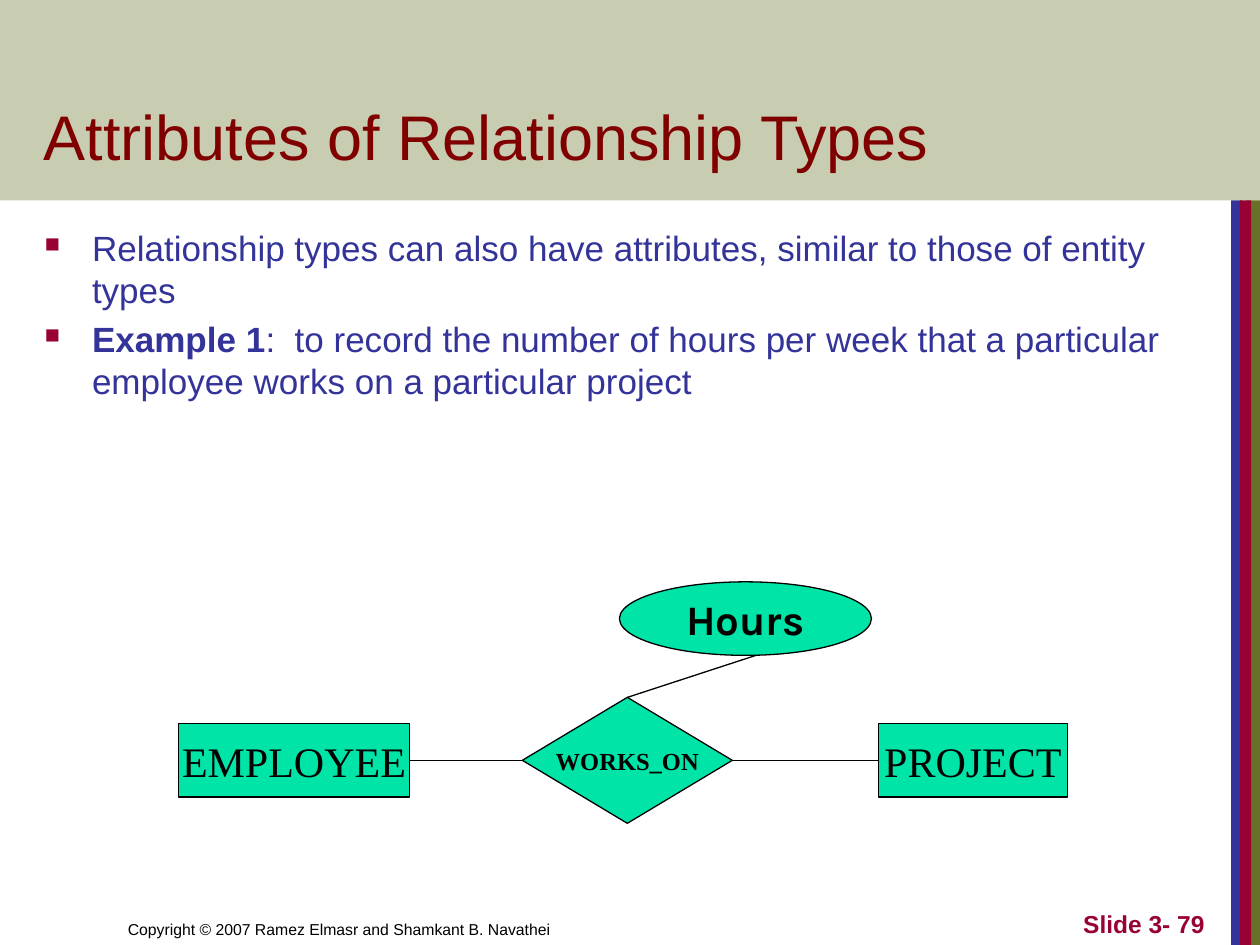
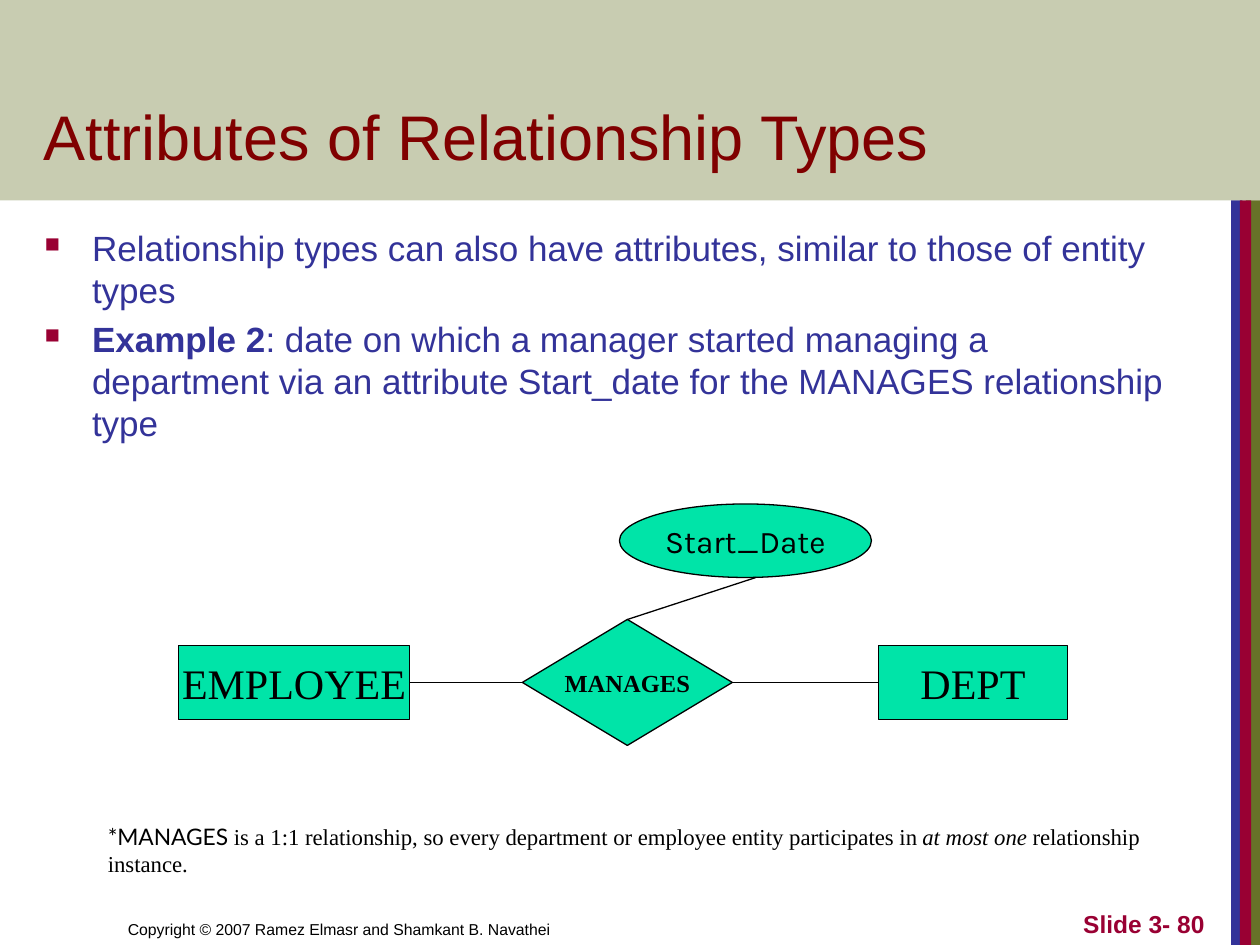
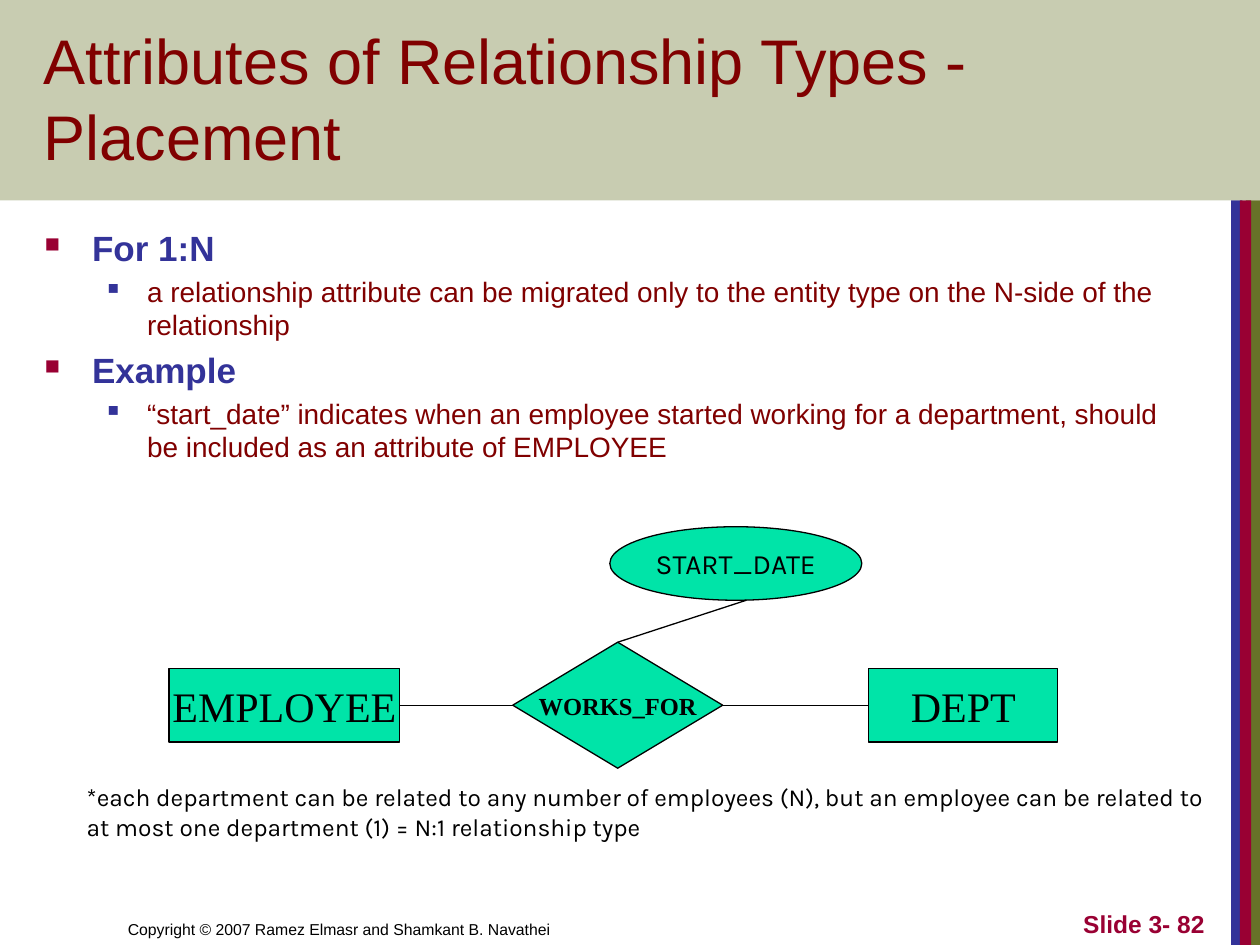
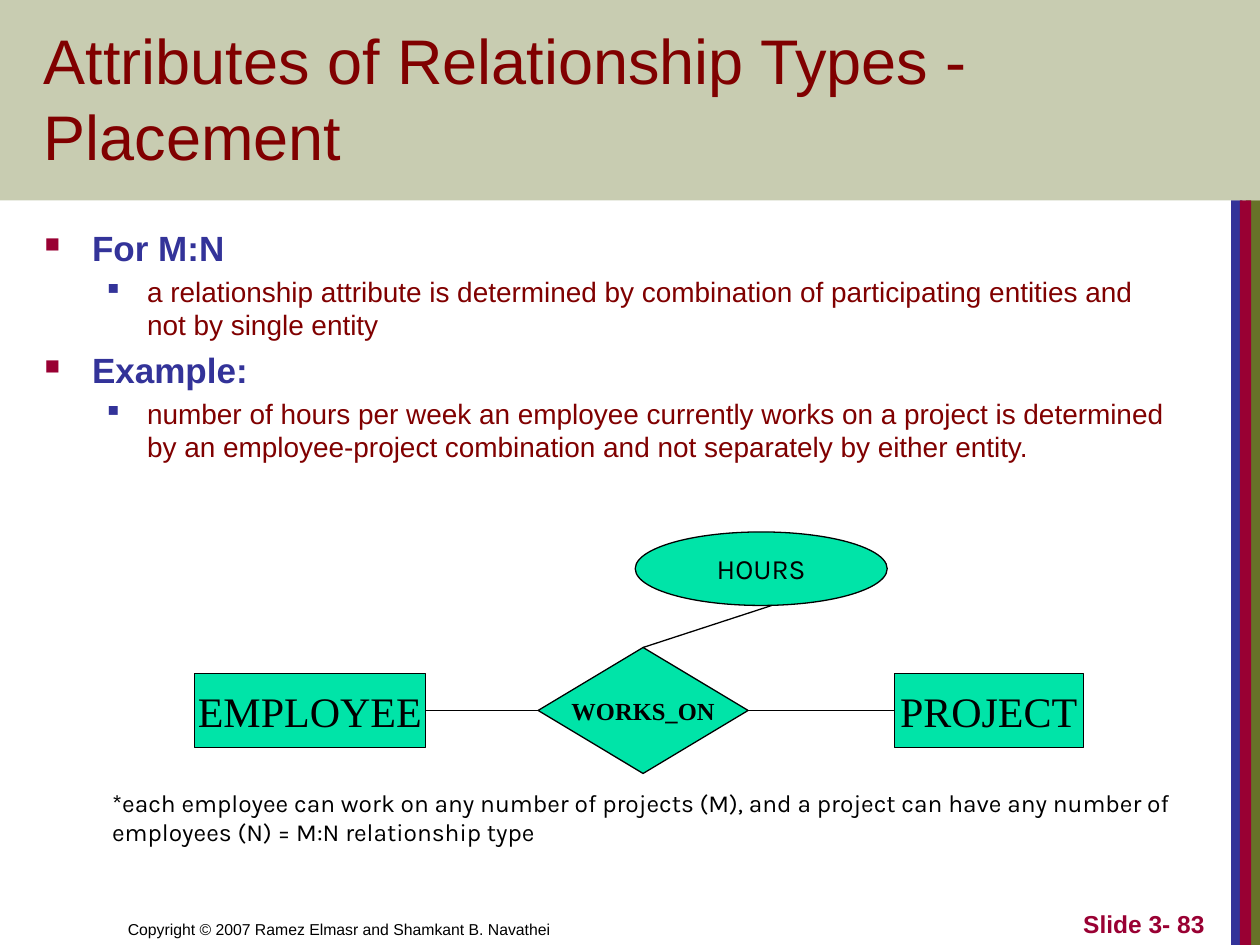
from dataclasses import dataclass
from typing import NamedTuple

from lxml import etree
from pptx import Presentation
from pptx.dml.color import RGBColor
from pptx.enum import shapes as kinds, text as t
from pptx.oxml.ns import qn
from pptx.util import Pt

NAVY = RGBColor(0x33, 0x33, 0x99)
CRIMSON = RGBColor(0x99, 0x00, 0x33)
OLIVE = RGBColor(0x67, 0x72, 0x28)
MAROON = RGBColor(0x80, 0x00, 0x00)
MINT = RGBColor(0x00, 0xE4, 0xA8)
BLACK = RGBColor(0x00, 0x00, 0x00)

SANS, SERIF, KARLA, LATO = "Arial", "Times New Roman", "Karla", "Lato"
SLIDE_W, SLIDE_H, BAND_H = 720, 540, 114.5
COPYRIGHT = "Copyright © 2007 Ramez Elmasr and Shamkant B. Navathei"


class Box(NamedTuple):
    left: float
    top: float
    width: float
    height: float

    def lengths(self) -> list[Pt]:
        return [Pt(value) for value in self]


class Style(NamedTuple):
    font: str
    size: float
    color: RGBColor = BLACK
    bold: bool = False
    italic: bool = False


class Span(NamedTuple):
    words: str
    style: Style


class Level(NamedTuple):
    indent: float
    hanging: float
    bullet_color: RGBColor
    bullet_percent: int
    space_before: float


class Bullet(NamedTuple):
    level: Level
    spans: list[Span]


class Stripe(NamedTuple):
    left: float
    width: float
    color: RGBColor


@dataclass
class Diagram:
    """An entity, relationship, entity row with one attribute above it."""
    left: float
    top: float
    relationship: str
    entity: str
    attribute: str
    attribute_style: Style


@dataclass
class Note:
    box: Box
    spans: list[Span]
    indent: float = 0


@dataclass
class Page:
    number: int
    title: str
    bullets: list[Bullet]
    diagram: Diagram
    note: Note | None = None


TITLE = Style(SANS, 36, MAROON)
TOPIC = Style(SANS, 20, NAVY)
TOPIC_BOLD = TOPIC._replace(bold=True)
DETAIL = Style(SANS, 16, MAROON)
FOOTER = Style(SANS, 9)
PAGE_NUMBER = Style(SANS, 14, CRIMSON, bold=True)
ENTITY = Style(SERIF, 24)
RELATIONSHIP = Style(SERIF, 14, bold=True)
NOTE_SERIF = Style(SERIF, 13)

TOPIC_LEVEL = Level(27, 27, CRIMSON, 60, 4)
DETAIL_LEVEL = Level(58.5, 22.5, NAVY, 55, 3.2)

STRIPES = [Stripe(712, 8, OLIVE), Stripe(703.5, 6.5, NAVY), Stripe(708.5, 6.5, CRIMSON)]


def topic(*spans: Span) -> Bullet:
    return Bullet(TOPIC_LEVEL, list(spans))


def heading(words: str) -> Bullet:
    return topic(Span(words, TOPIC_BOLD))


def detail(words: str) -> Bullet:
    return Bullet(DETAIL_LEVEL, [Span(words, DETAIL)])


def note_below(diagram: Diagram, words: str) -> Note:
    box = Box(diagram.left - 90, diagram.top + 142.5, 692, 41)
    return Note(box, [Span(words, Style(KARLA, 14))], indent=36)


def write_spans(paragraph, spans: list[Span]) -> None:
    for words, style in spans:
        run = paragraph.add_run()
        run.text = words
        font = run.font
        font.name, font.size = style.font, Pt(style.size)
        font.bold, font.italic = style.bold, style.italic
        font.color.rgb = style.color


def indent_paragraph(paragraph, indent: float, hanging: float = 0) -> None:
    properties = paragraph._p.get_or_add_pPr()
    properties.set("marL", str(Pt(indent)))
    properties.set("indent", str(-Pt(hanging)))


def add_bullet(paragraph, level: Level) -> None:
    indent_paragraph(paragraph, level.indent, level.hanging)
    properties = paragraph._p.get_or_add_pPr()
    color = etree.SubElement(properties, qn("a:buClr"))
    etree.SubElement(color, qn("a:srgbClr"), val=str(level.bullet_color))
    etree.SubElement(properties, qn("a:buSzPct"), val=str(level.bullet_percent * 1000))
    etree.SubElement(properties, qn("a:buChar"), char="■")


def add_text(slide, box: Box, spans: list[Span], anchor=t.MSO_ANCHOR.BOTTOM,
             align=t.PP_ALIGN.LEFT):
    frame = slide.shapes.add_textbox(*box.lengths()).text_frame
    frame.word_wrap = True
    frame.vertical_anchor = anchor
    frame.paragraphs[0].alignment = align
    write_spans(frame.paragraphs[0], spans)
    return frame


def add_filled(parent, kind, box: Box, color: RGBColor):
    shape = parent.shapes.add_shape(kind, *box.lengths())
    shape.shadow.inherit = False
    shape.fill.solid()
    shape.fill.fore_color.rgb = color
    shape.line.fill.background()
    return shape


def add_node(parent, kind, box: Box, label: Span):
    node = add_filled(parent, kind, box, MINT)
    node.line.color.rgb = BLACK
    node.line.width = Pt(0.75)
    frame = node.text_frame
    frame.word_wrap = False
    frame.vertical_anchor = t.MSO_ANCHOR.MIDDLE
    frame.paragraphs[0].alignment = t.PP_ALIGN.CENTER
    write_spans(frame.paragraphs[0], [label])
    return node


def add_line(parent, start: tuple[float, float], end: tuple[float, float]):
    ends = [Pt(value) for value in (*start, *end)]
    line = parent.shapes.add_connector(kinds.MSO_CONNECTOR.STRAIGHT, *ends)
    line.line.color.rgb = BLACK
    line.line.width = Pt(0.75)
    etree.SubElement(line._element.spPr, qn("a:effectLst"))
    return line


def draw_frame(slide, page: Page) -> None:
    """Draw the stripes, title band, footer, title and slide number."""
    rectangle = kinds.MSO_SHAPE.RECTANGLE
    for left, width, color in STRIPES:
        add_filled(slide, rectangle, Box(left, BAND_H, width, SLIDE_H - BAND_H), color)
    band = add_filled(slide, rectangle, Box(0, 0, SLIDE_W, BAND_H), OLIVE)
    tint = band._element.spPr.find(qn("a:solidFill")).find(qn("a:srgbClr"))
    etree.SubElement(tint, qn("a:alpha"), val="36000")
    add_text(slide, Box(66, 504, 354, 36), [Span(COPYRIGHT, FOOTER)])
    add_text(slide, Box(18, 24, 614, 78.5), [Span(page.title, TITLE)])
    add_text(slide, Box(546, 504, 149.5, 36),
             [Span(f"Slide 3- {page.number}", PAGE_NUMBER)], align=t.PP_ALIGN.RIGHT)


def draw_bullets(slide, bullets: list[Bullet]) -> None:
    frame = add_text(slide, Box(18.5, 126, 653, 360), [], t.MSO_ANCHOR.TOP)
    frame.margin_right = Pt(0)
    for index, bullet in enumerate(bullets):
        paragraph = frame.add_paragraph() if index else frame.paragraphs[0]
        if index:
            paragraph.space_before = Pt(bullet.level.space_before)
        add_bullet(paragraph, bullet.level)
        write_spans(paragraph, bullet.spans)


def draw_diagram(slide, diagram: Diagram) -> None:
    x, y = diagram.left, diagram.top
    row = y + 102
    diamond_left, diamond_right, diamond_top = x + 196.5, x + 316.5, row - 36
    entity_right, other_left = x + 132, x + 400

    group = slide.shapes.add_group_shape()
    employee = add_node(group, kinds.MSO_SHAPE.RECTANGLE, Box(x, row - 21, 132, 42),
                        Span("EMPLOYEE", ENTITY))
    other = add_node(group, kinds.MSO_SHAPE.RECTANGLE, Box(other_left, row - 21, 108, 42),
                     Span(diagram.entity, ENTITY))
    relationship = add_node(group, kinds.MSO_SHAPE.DIAMOND,
                            Box(diamond_left, diamond_top, 120, 72),
                            Span(diagram.relationship, RELATIONSHIP))
    employee_link = add_line(group, (entity_right, row), (diamond_left, row))
    employee_link.begin_connect(employee, 3)
    employee_link.end_connect(relationship, 1)
    other_link = add_line(group, (diamond_right, row), (other_left, row))
    other_link.begin_connect(relationship, 3)
    other_link.end_connect(other, 1)

    add_node(slide, kinds.MSO_SHAPE.OVAL, Box(x + 252, y, 144, 42),
             Span(diagram.attribute, diagram.attribute_style))
    attribute_link = add_line(slide, (diamond_left + 60, diamond_top), (x + 330, y + 42))
    attribute_link.begin_connect(relationship, 0)


def draw_note(slide, note: Note) -> None:
    frame = add_text(slide, note.box, note.spans, t.MSO_ANCHOR.TOP)
    frame.auto_size = t.MSO_AUTO_SIZE.SHAPE_TO_FIT_TEXT
    indent_paragraph(frame.paragraphs[0], note.indent)


ATTRIBUTES = "Attributes of Relationship Types"
PLACEMENT = f"{ATTRIBUTES} - Placement"
INTRO = topic(Span("Relationship types can also have attributes, similar to those of "
                   "entity types", TOPIC))
ONE_TO_MANY = Diagram(96.5, 301, "WORKS_FOR", "DEPT", "START_DATE", Style(KARLA, 16))
MANY_TO_MANY = Diagram(111, 304, "WORKS_ON", "PROJECT", "HOURS", Style(KARLA, 16))

PAGES = [
    Page(79, ATTRIBUTES,
         [INTRO,
          topic(Span("Example 1", TOPIC_BOLD),
                Span(":  to record the number of hours per week that a particular "
                     "employee works on a particular project", TOPIC))],
         Diagram(102, 332.5, "WORKS_ON", "PROJECT", "Hours", Style(KARLA, 24, bold=True))),
    Page(80, ATTRIBUTES,
         [INTRO,
          topic(Span("Example 2", TOPIC_BOLD),
                Span(": date on which a manager started managing a department via an "
                     "attribute Start_date for the MANAGES relationship type", TOPIC))],
         Diagram(102, 288, "MANAGES", "DEPT", "Start_Date", Style(KARLA, 18)),
         Note(Box(54.5, 466.5, 646, 39),
              [Span("*MANAGES ", Style(LATO, 13)),
               Span("is a 1:1 relationship, so every department or employee entity "
                    "participates in ", NOTE_SERIF),
               Span("at most one ", NOTE_SERIF._replace(italic=True)),
               Span("relationship instance.", NOTE_SERIF)])),
    Page(82, PLACEMENT,
         [heading("For 1:N"),
          detail("a relationship attribute can be migrated only to the entity type on "
                 "the N-side of the relationship"),
          heading("Example"),
          detail("“start_date” indicates when an employee started working for a "
                 "department, should be included as an attribute of EMPLOYEE")],
         ONE_TO_MANY,
         note_below(ONE_TO_MANY,
                    "*each department can be related to any number of employees (N), but "
                    "an employee can be related to at most one department (1) = N:1 "
                    "relationship type")),
    Page(83, PLACEMENT,
         [heading("For M:N"),
          detail("a relationship attribute is determined by combination of participating "
                 "entities and not by single entity"),
          heading("Example:"),
          detail("number of hours per week an employee currently works on a project is "
                 "determined by an employee-project combination and not separately by "
                 "either entity.")],
         MANY_TO_MANY,
         note_below(MANY_TO_MANY,
                    "*each employee can work on any number of projects (M), and a project "
                    "can have any number of employees (N) = M:N relationship type")),
]


def main() -> None:
    deck = Presentation()
    deck.slide_width, deck.slide_height = Pt(SLIDE_W), Pt(SLIDE_H)
    blank = deck.slide_layouts[6]
    for page in PAGES:
        slide = deck.slides.add_slide(blank)
        draw_frame(slide, page)
        draw_bullets(slide, page.bullets)
        draw_diagram(slide, page.diagram)
        if page.note:
            draw_note(slide, page.note)
    deck.save("out.pptx")


if __name__ == "__main__":
    main()
